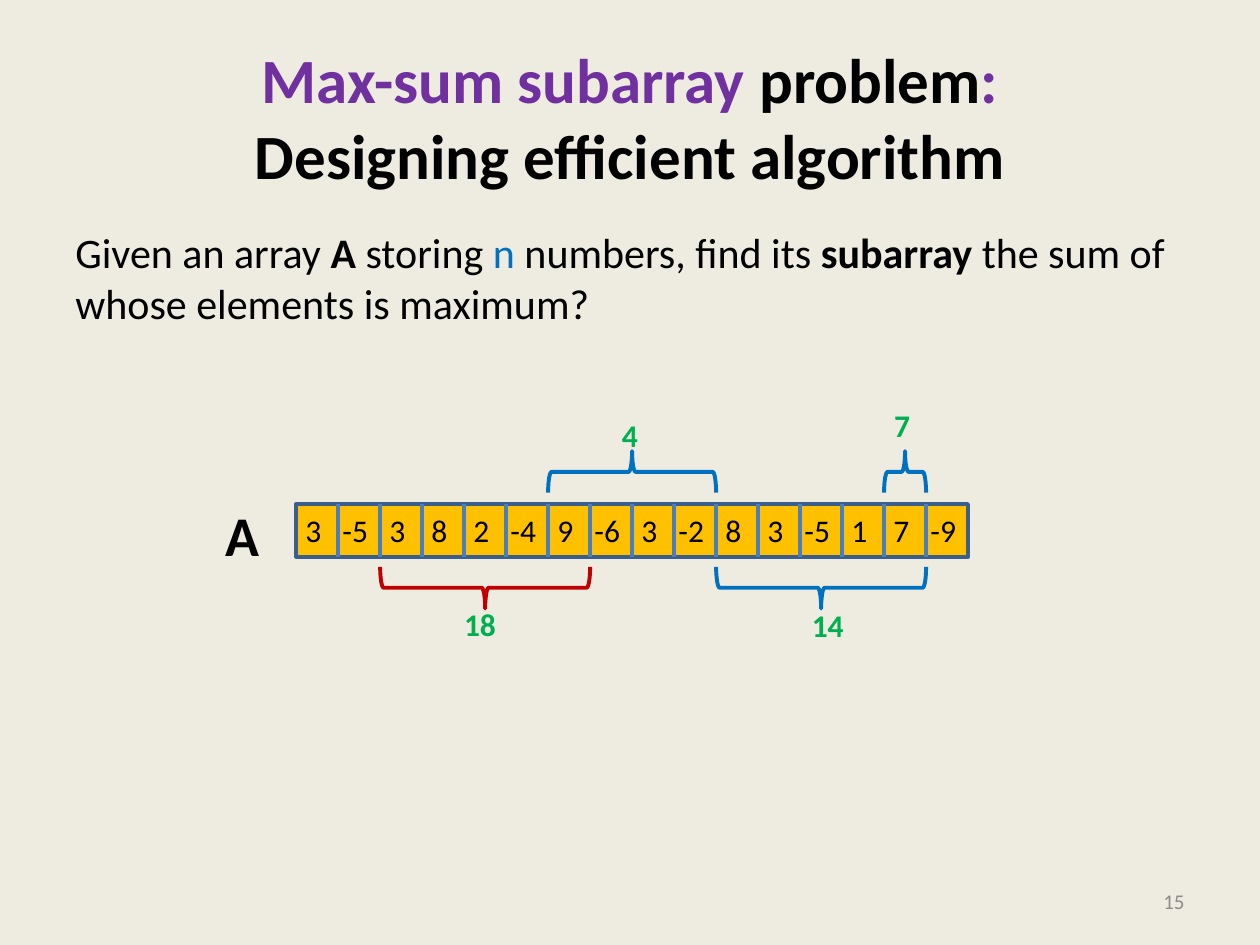
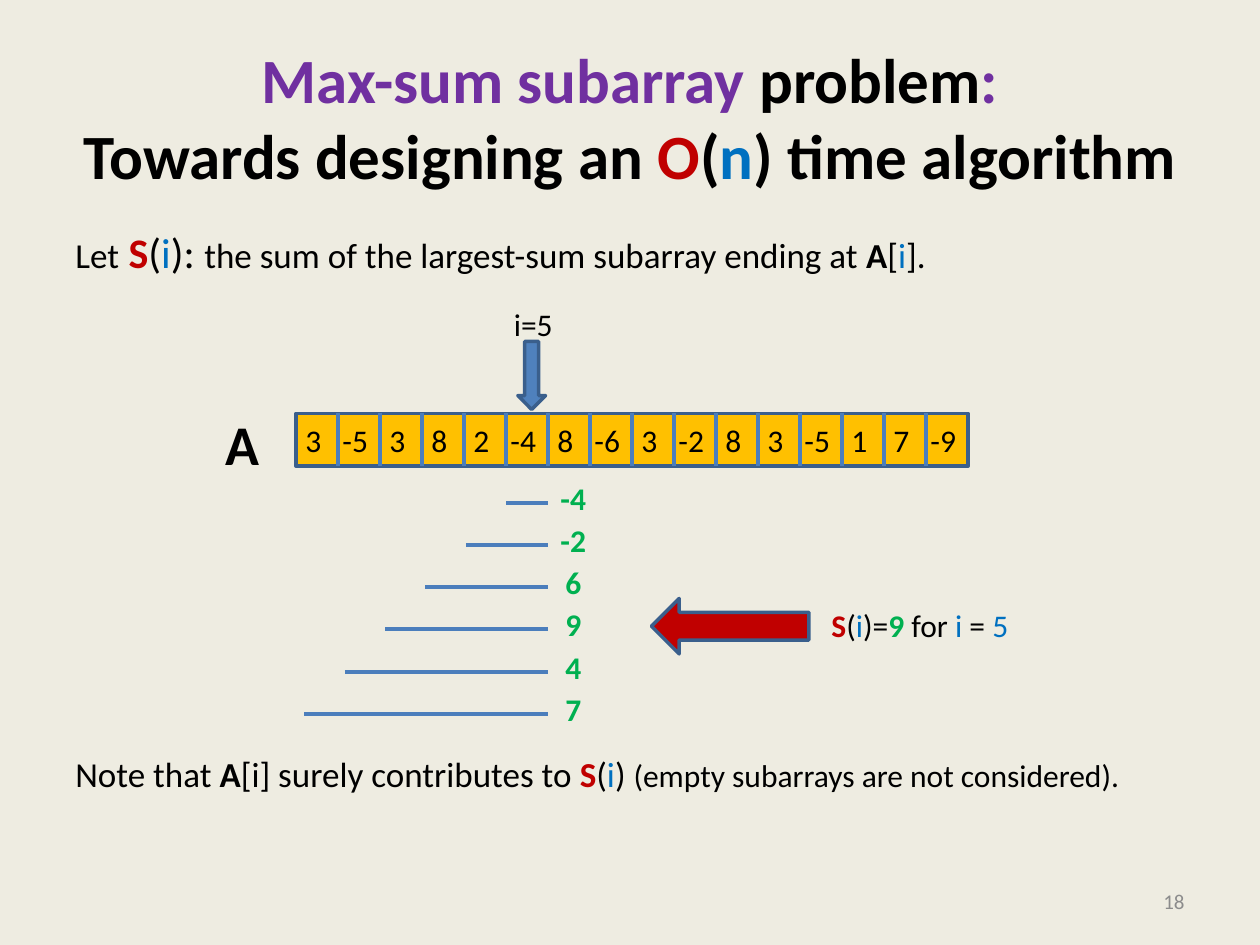
import pptx
import pptx.util
import pptx.dml.color
from pptx.enum.shapes import MSO_CONNECTOR, MSO_SHAPE
from pptx.enum.text import MSO_ANCHOR, PP_ALIGN
from pptx.oxml.ns import qn
from pptx.util import Inches
from lxml import etree

FONT = "Calibri"
BACKGROUND = "EEECE1"
BLACK, GREY = "000000", "8C8C8C"
PURPLE, RED, BLUE, GREEN = "7030A0", "C00000", "0070C0", "00B050"
GOLD, STEEL, OUTLINE, RULE = "FFC000", "4F81BD", "3A5F8C", "4B7EBC"

ARRAY_LEFT, ARRAY_HEIGHT = 2.35, 0.42
CELL = 1 / 3

BOLD = {"bold": True}
BLUE_RUN = {"color": BLUE}
RED_RUN = {"color": RED, "bold": True}
GREEN_RUN = {"color": GREEN, "bold": True}


def rgb(color):
    return pptx.dml.color.RGBColor.from_string(color)


def cell_x(index):
    """Left edge of an array cell, in inches."""
    return ARRAY_LEFT + index * CELL


def add_run(p, text, size=18, color=BLACK, bold=False):
    r = p.add_run()
    r.text = text
    r.font.name = FONT
    r.font.size = pptx.util.Pt(size)
    r.font.bold = bold
    r.font.color.rgb = rgb(color)


def add_text(s, box, runs, align=PP_ALIGN.LEFT, anchor=MSO_ANCHOR.TOP,
             wrap=False, inset=0.1, **style):
    """Text box; a run is a string or (string, format), and "\\n" breaks the line."""
    tf = s.shapes.add_textbox(*map(Inches, box)).text_frame
    tf.word_wrap = wrap
    tf.vertical_anchor = anchor
    tf.margin_left = tf.margin_right = Inches(inset)
    p = tf.paragraphs[0]
    p.alignment = align
    for run in [runs] if isinstance(runs, str) else runs:
        text, override = (run, {}) if isinstance(run, str) else run
        if text == "\n":
            p.add_line_break()
        else:
            add_run(p, text, **{**style, **override})


def add_centred(s, cx, top, text, **style):
    """Short label centred on cx."""
    add_text(s, (cx - 0.25, top, 0.5, 0.4), text,
             align=PP_ALIGN.CENTER, inset=0, **style)


def add_shape(s, kind, box, fill=None, line=OUTLINE, width=2):
    sp = s.shapes.add_shape(kind, *map(Inches, box))
    sp.shadow.inherit = False
    if fill:
        sp.fill.solid()
        sp.fill.fore_color.rgb = rgb(fill)
    else:
        sp.fill.background()
    sp.line.color.rgb = rgb(line)
    sp.line.width = pptx.util.Pt(width)
    return sp


def add_line(s, x1, y1, x2, y2):
    line = s.shapes.add_connector(MSO_CONNECTOR.STRAIGHT,
                                  *map(Inches, (x1, y1, x2, y2)))
    line.line.color.rgb = rgb(RULE)
    line.line.width = pptx.util.Pt(2.25)
    etree.SubElement(line._element.spPr, qn("a:effectLst"))


def add_array(s, top, values):
    add_shape(s, MSO_SHAPE.RECTANGLE,
              (ARRAY_LEFT, top, CELL * len(values), ARRAY_HEIGHT), GOLD)
    for i, value in enumerate(values):
        if i:
            add_line(s, cell_x(i), top, cell_x(i), top + ARRAY_HEIGHT)
        add_centred(s, cell_x(i) + CELL / 2 - 0.03, top + 0.01, str(value))
    add_text(s, (1.69, top - 0.08, 0.47, 0.64), "A", size=32, bold=True)


def add_brace(s, first, count, top, color, total, label_cx, label_top):
    """Horizontal brace over or under a run of cells, with the sum at its tip."""
    depth, span = 0.33, count * CELL
    cx, cy = cell_x(first) + span / 2, top + depth / 2
    sp = add_shape(s, MSO_SHAPE.RIGHT_BRACE,
                   (cx - depth / 2, cy - span / 2, depth, span),
                   line=color, width=2.25)
    sp.rotation = 270 if label_top < top else 90
    add_centred(s, label_cx, label_top, str(total), **GREEN_RUN)


def add_slide(prs, number, subtitle):
    s = prs.slides.add_slide(prs.slide_layouts[6])
    s.background.fill.solid()
    s.background.fill.fore_color.rgb = rgb(BACKGROUND)
    purple = {"color": PURPLE}
    add_text(s, (0.5, 0.3, 9, 1.25),
             [("Max-sum subarray ", purple), "problem", (":", purple), "\n", *subtitle],
             align=PP_ALIGN.CENTER, anchor=MSO_ANCHOR.MIDDLE, wrap=True,
             size=36, bold=True)
    add_text(s, (7.17, 6.95, 2.33, 0.4), str(number), align=PP_ALIGN.RIGHT,
             anchor=MSO_ANCHOR.MIDDLE, wrap=True, size=12, color=GREY)
    return s


def build_problem(prs):
    s = add_slide(prs, 15, ["Designing efficient algorithm"])
    add_text(s, (0.5, 1.75, 9, 1),
             ["Given an array ", ("A", BOLD), " storing ", ("n", BLUE_RUN),
              " numbers, find its ", ("subarray", BOLD),
              " the sum of whose elements is maximum?"], wrap=True, size=24)
    add_array(s, 4, [3, -5, 3, 8, 2, -4, 9, -6, 3, -2, 8, 3, -5, 1, 7, -9])
    above, below = 3.58, 4.5
    add_brace(s, 6, 4, above, BLUE, 4, 5, 3.25)
    add_brace(s, 14, 1, above, BLUE, 7, 7.16, 3.17)
    add_brace(s, 10, 5, below, BLUE, 14, 6.57, 4.76)
    add_brace(s, 2, 5, below, RED, 18, 3.81, 4.75)


def build_ending_sums(prs):
    s = add_slide(prs, 18, ["Towards designing an ", ("O", {"color": RED}), "(",
                            ("n", BLUE_RUN), ") time algorithm"])
    large = {"size": 24}
    add_text(s, (0.5, 1.75, 9, 0.5),
             ["Let", (" S", {**RED_RUN, **large}), ("(", large),
              ("i", {**BLUE_RUN, **large}), ("): ", large),
              "the sum of the largest-sum subarray ending at ", ("A", BOLD), "[",
              ("i", BLUE_RUN), "]."], wrap=True, size=20)
    add_text(s, (0.5, 5.92, 9, 0.5),
             ["Note that ", ("A", BOLD), "[i] surely contributes to ",
              ("S", RED_RUN), "(", ("i", BLUE_RUN), ") ",
              ("(empty subarrays are not considered).", {"size": 18})],
             wrap=True, size=20)

    add_array(s, 3.28, [3, -5, 3, 8, 2, -4, 8, -6, 3, -2, 8, 3, -5, 1, 7, -9])
    add_shape(s, MSO_SHAPE.DOWN_ARROW, (4.11, 2.71, 0.22, 0.54), STEEL)
    add_text(s, (3.98, 2.37, 0.51, 0.4), "i=5")

    end = cell_x(6)
    for row, total in enumerate([-4, -2, 6, 9, 4, 7]):
        y = 3.99 + 0.335 * row
        add_line(s, cell_x(5) - 0.32 * row, y, end, y)
        add_centred(s, end + 0.2, y - 0.24, str(total), **GREEN_RUN)

    add_shape(s, MSO_SHAPE.LEFT_ARROW, (5.17, 4.75, 1.25, 0.44), RED)
    add_text(s, (6.5, 4.76, 1.62, 0.4),
             [("S", RED_RUN), "(", ("i", BLUE_RUN), ")=", ("9", GREEN_RUN),
              " for ", ("i", BLUE_RUN), " = ", ("5", BLUE_RUN)])


def main():
    prs = pptx.Presentation()
    prs.slide_width, prs.slide_height = Inches(10), Inches(7.5)
    build_problem(prs)
    build_ending_sums(prs)
    prs.save("out.pptx")


if __name__ == "__main__":
    main()
